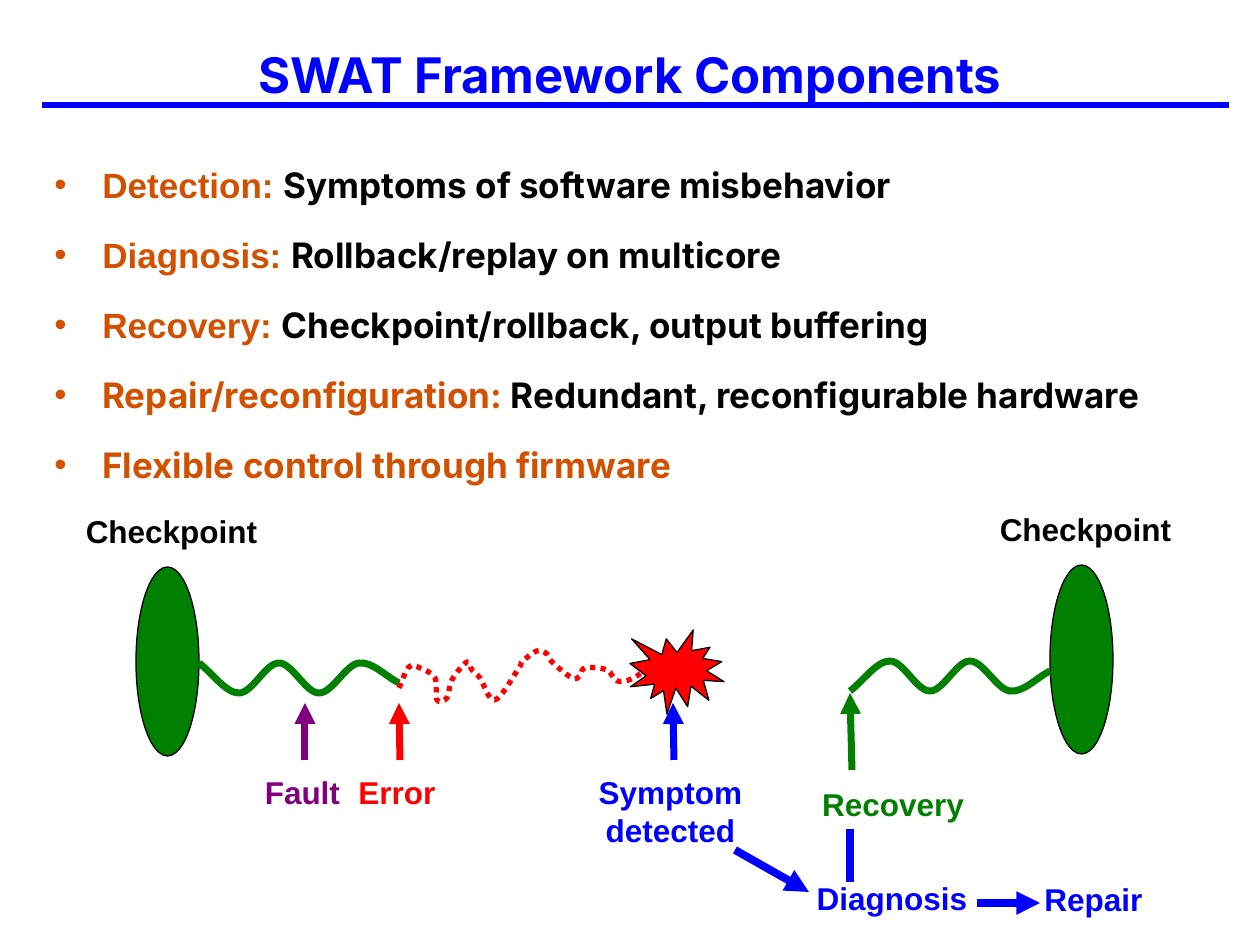
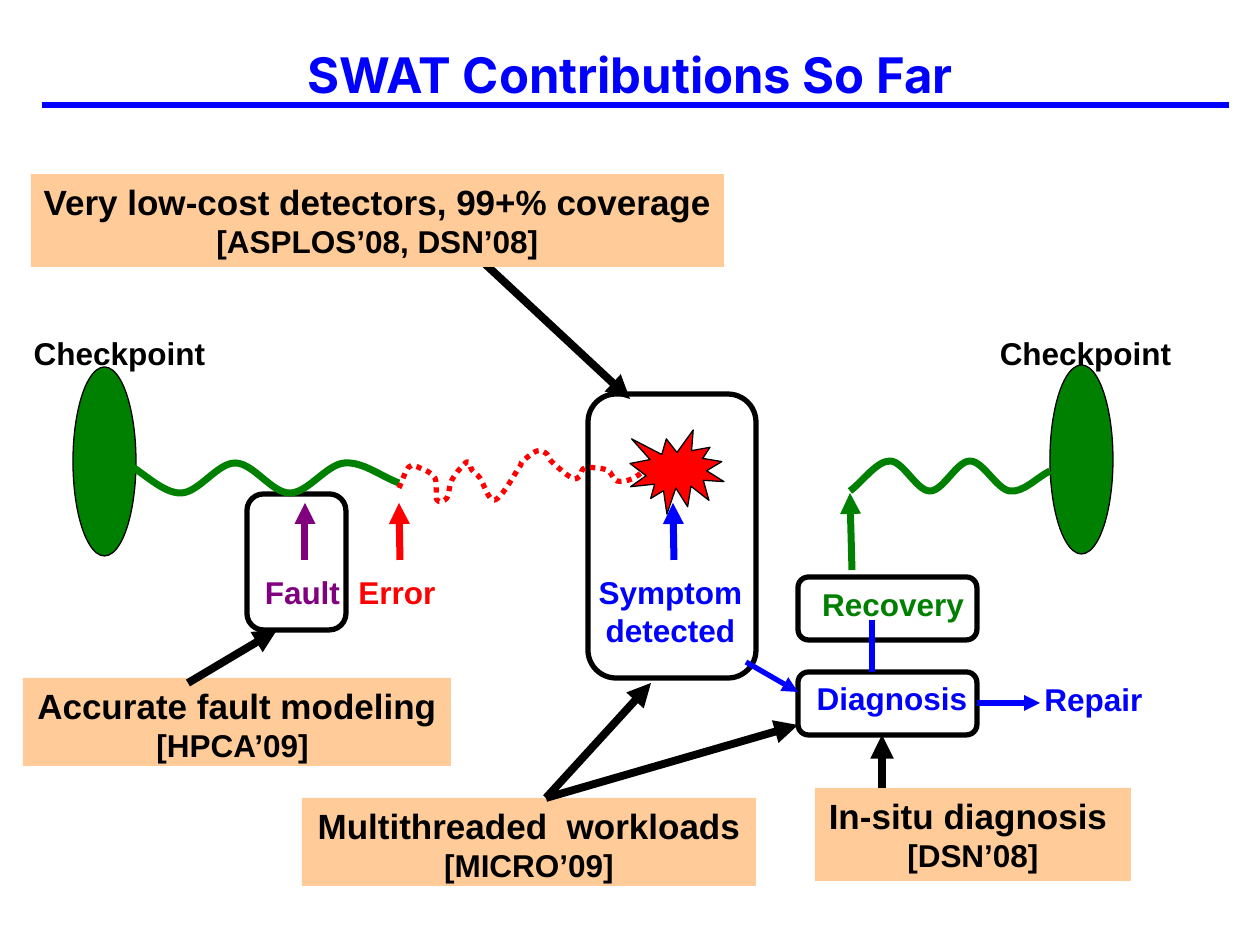
"""Build two slides on the SWAT framework: its components and its results."""
from dataclasses import dataclass

from lxml.etree import SubElement
from pptx import Presentation
from pptx.dml.color import RGBColor
from pptx.enum.dml import MSO_LINE
from pptx.enum.shapes import MSO_CONNECTOR, MSO_SHAPE
from pptx.enum.text import MSO_ANCHOR, PP_ALIGN
from pptx.oxml.ns import qn
from pptx.shapes.autoshape import Shape
from pptx.slide import Slide
from pptx.text.text import TextFrame, _Paragraph
from pptx.util import Emu, Pt

STRAIGHT = MSO_CONNECTOR.STRAIGHT
OVAL, RECT = MSO_SHAPE.OVAL, MSO_SHAPE.RECTANGLE
ROUND, BURST = MSO_SHAPE.ROUNDED_RECTANGLE, MSO_SHAPE.EXPLOSION1
DOTS = MSO_LINE.ROUND_DOT
CENTER, LEFT = PP_ALIGN.CENTER, PP_ALIGN.LEFT
MIDDLE, TOP = MSO_ANCHOR.MIDDLE, MSO_ANCHOR.TOP
SCALE = 914400 / 126

Point = tuple[float, float]


@dataclass(frozen=True)
class Theme:
    """Colours, fonts, type sizes and line widths of the deck."""
    blue: str = "0000FF"
    orange: str = "D15100"
    green: str = "008000"
    red: str = "FF0000"
    purple: str = "800080"
    black: str = "000000"
    peach: str = "FFCC99"
    head: str = "Inter"
    body: str = "Arial"
    title: int = 28
    large: int = 20
    small: int = 18
    hair: float = 0.75
    thin: float = 3
    mid: float = 4
    thick: float = 4.5


T = Theme()


@dataclass(frozen=True)
class Box:
    """A place on the slide in pixels."""
    x: float
    y: float
    w: float
    h: float


@dataclass(frozen=True)
class Label:
    """A short centred caption, one string per line."""
    box: Box
    lines: tuple[str, ...]
    color: str


@dataclass(frozen=True)
class Link:
    """A straight line, with an arrowhead at its end unless plain."""
    start: Point
    end: Point
    color: str
    width: float
    arrow: bool = True


@dataclass(frozen=True)
class Note:
    """A shaded claim with the venue that published it."""
    box: Box
    claim: str
    venue: str
    wrap: bool = True


POINTS = (
    (("Detection: ", T.body), ("Symptoms of software misbehavior", T.head)),
    (("Diagnosis: ", T.body), ("Rollback/replay on multicore", T.head)),
    (("Recovery: ", T.body), ("Checkpoint/rollback, output buffering", T.head)),
    (("Repair/reconfiguration:", T.head), (" Redundant, reconfigurable hardware", T.head)),
    (("Flexible control through firmware", T.head),),
)
LABELS = (
    Label(Box(804, 873, 176, 50), ("Diagnosis",), T.blue),
    Label(Box(252, 767, 101, 50), ("Fault",), T.purple),
    Label(Box(346, 767, 102, 50), ("Error",), T.red),
    Label(Box(586, 767, 169, 88), ("Symptom", "detected"), T.blue),
    Label(Box(809, 779, 168, 50), ("Recovery",), T.green),
    Label(Box(1032, 874, 123, 50), ("Repair",), T.blue),
)
MARKS = (
    Link((305, 760), (305, 703), T.purple, T.mid),
    Link((400, 760), (399, 703), T.red, T.mid),
    Link((674, 760), (673, 703), T.blue, T.mid),
    Link((852, 770), (850, 693), T.green, T.mid),
)
NOISE = (
    (399, 688), (409, 667), (420, 668), (435, 678), (437, 700), (447, 698),
    (452, 680), (467, 662), (472, 670), (480, 678), (495, 700), (519, 668),
    (522, 662), (537, 651), (547, 654), (552, 662), (572, 678), (580, 676),
    (585, 668), (607, 670), (617, 681), (634, 678), (651, 664),
)
FIRST_FLOW = (
    Link((735, 850), (809, 892), T.blue, T.thick),
    Link((977, 903), (1040, 903), T.blue, T.thick),
    Link((850, 882), (850, 829), T.blue, T.thick, False),
)
NEXT_FLOW = (
    Link((746, 662), (798, 692), T.blue, T.thin),
    Link((977, 703), (1040, 703), T.blue, T.thin),
    Link((872, 672), (872, 620), T.blue, T.thin, False),
)
FRAMES = (
    Box(798, 672, 179, 63),
    Box(588, 394, 168, 284),
    Box(247, 494, 99, 136),
    Box(798, 577, 179, 63),
)
NOTES = (
    Note(Box(815, 788, 316, 93), "In-situ diagnosis ", "[DSN’08]", False),
    Note(Box(31, 174, 693, 93), "Very low-cost detectors, 99+% coverage",
         "[ASPLOS’08, DSN’08]"),
    Note(Box(23, 678, 428, 88), "Accurate fault modeling", "[HPCA’09] "),
    Note(Box(302, 798, 454, 88), "Multithreaded  workloads ", "[MICRO’09]"),
)
PROBE = Link((483, 262), (630, 399), T.black, T.thick)
CLAIMS = (
    Link((882, 788), (882, 735), T.black, T.thick),
    Link((188, 683), (277, 630), T.black, T.thick),
    Link((546, 798), (651, 683), T.black, T.thick),
    Link((546, 798), (798, 725), T.black, T.thick),
)


def px(length: float) -> Emu:
    """Turn pixels into EMU."""
    return Emu(round(length * SCALE))


def place(box: Box) -> tuple[Emu, Emu, Emu, Emu]:
    """Give the four EMU lengths of a box."""
    return px(box.x), px(box.y), px(box.w), px(box.h)


def write(para: _Paragraph, text: str, *, size: int = T.small, color: str = T.black,
          font: str = T.body, align: PP_ALIGN = CENTER) -> None:
    """Add a bold run to a paragraph."""
    para.alignment = align
    run = para.add_run()
    run.text = text
    run.font.name, run.font.size, run.font.bold = font, Pt(size), True
    run.font.color.rgb = RGBColor.from_string(color)


def line_at(frame: TextFrame, index: int) -> _Paragraph:
    """Return the first paragraph, or add a later one."""
    return frame.add_paragraph() if index else frame.paragraphs[0]


def text_box(slide: Slide, box: Box, wrap: bool = False,
             anchor: MSO_ANCHOR = TOP) -> TextFrame:
    """Add an empty text box."""
    frame = slide.shapes.add_textbox(*place(box)).text_frame
    frame.word_wrap, frame.vertical_anchor = wrap, anchor
    return frame


def style(shape: Shape, fill: str | None = None, line: str | None = None,
          width: float = T.hair) -> None:
    """Set the fill and outline of a shape, without a shadow."""
    shape.shadow.inherit = False
    if fill:
        shape.fill.solid()
        shape.fill.fore_color.rgb = RGBColor.from_string(fill)
    else:
        shape.fill.background()
    if line:
        shape.line.color.rgb = RGBColor.from_string(line)
        shape.line.width = Pt(width)
    else:
        shape.line.fill.background()


def draw_link(slide: Slide, link: Link, rise: int = 0) -> None:
    """Draw a link, raised by some pixels."""
    (x1, y1), (x2, y2) = link.start, link.end
    wire = slide.shapes.add_connector(
        STRAIGHT, px(x1), px(y1 - rise), px(x2), px(y2 - rise))
    wire.line.color.rgb = RGBColor.from_string(link.color)
    wire.line.width = Pt(link.width)
    props = wire.element.spPr
    if link.arrow:
        SubElement(props.find(qn("a:ln")), qn("a:tailEnd"), type="triangle")
    SubElement(props, qn("a:effectLst"))


def draw_label(slide: Slide, label: Label, rise: int = 0) -> None:
    """Draw a caption, raised by some pixels."""
    box = label.box
    frame = text_box(slide, Box(box.x, box.y - rise, box.w, box.h))
    for index, text in enumerate(label.lines):
        write(line_at(frame, index), text, color=label.color)


def draw_note(slide: Slide, note: Note) -> None:
    """Draw a shaded claim."""
    shape = slide.shapes.add_shape(RECT, *place(note.box))
    style(shape, T.peach)
    frame = shape.text_frame
    frame.word_wrap, frame.vertical_anchor = note.wrap, TOP
    write(line_at(frame, 0), note.claim, size=T.large)
    write(line_at(frame, 1), note.venue)


def draw_frame(slide: Slide, box: Box) -> None:
    """Draw a round outline about a stage."""
    shape = slide.shapes.add_shape(ROUND, *place(box))
    shape.adjustments[0] = 0.167
    style(shape, None, T.black, T.thin)


def bend(shape: Shape) -> None:
    """Turn the straight segments of an outline into one smooth curve."""
    track = shape.element.find(".//" + qn("a:path"))
    knots = [(int(p.get("x")), int(p.get("y"))) for p in track.iter(qn("a:pt"))]
    for line in track.findall(qn("a:lnTo")):
        track.remove(line)
    first, last = (tuple(2 * e - n for e, n in zip(end, near))
                   for end, near in (knots[:2], knots[:-3:-1]))
    full = [first, *knots, last]
    for a, b, c, d in zip(full, full[1:], full[2:], full[3:]):
        lead = [q + (r - p) / 6 for p, q, r in zip(a, b, c)]
        trail = [q - (r - p) / 6 for p, q, r in zip(b, c, d)]
        curve = SubElement(track, qn("a:cubicBezTo"))
        for x, y in (lead, trail, c):
            SubElement(curve, qn("a:pt"), x=str(round(x)), y=str(round(y)))


def draw_curve(slide: Slide, knots: list[Point], color: str, width: float,
               rise: int) -> Shape:
    """Draw an open smooth curve."""
    stops = [(px(x), px(y - rise)) for x, y in knots]
    pen = slide.shapes.build_freeform(*stops[0])
    pen.add_line_segments(stops[1:], close=False)
    shape = pen.convert_to_shape()
    bend(shape)
    style(shape, None, color, width)
    return shape


def draw_wave(slide: Slide, start: float, end: float, levels: tuple[int, ...],
              rise: int) -> None:
    """Draw a green wave with evenly spaced turns."""
    gap = (end - start) / (len(levels) - 1)
    knots = [(start + i * gap, y) for i, y in enumerate(levels)]
    draw_curve(slide, knots, T.green, T.mid, rise)


def draw_run(slide: Slide, rise: int, left: int, start: int) -> None:
    """Draw the program run from one checkpoint to the next."""
    for x, y in ((left, 567), (1050, 565)):
        disc = slide.shapes.add_shape(OVAL, *place(Box(x, y - rise, 63, 189)))
        style(disc, T.green, T.black)
    draw_wave(slide, start, 399, (663, 693, 663, 693, 663, 683), rise)
    draw_wave(slide, 850, 1050, (691, 661, 691, 661, 691, 671), rise)
    draw_curve(slide, list(NOISE), T.red, T.thin, rise).line.dash_style = DOTS
    burst = slide.shapes.add_shape(BURST, *place(Box(630, 630 - rise, 94, 84)))
    style(burst, T.red, T.black)
    for mark in MARKS:
        draw_link(slide, mark, rise)
    for label in LABELS:
        draw_label(slide, label, rise)


def draw_ends(slide: Slide, *spots: Point) -> None:
    """Name the checkpoints."""
    for x, y in spots:
        draw_label(slide, Label(Box(x, y, 197, 50), ("Checkpoint",), T.black))


def draw_points(slide: Slide) -> None:
    """Write the bullet list, lead words in orange."""
    frame = text_box(slide, Box(42, 136, 1187, 336), wrap=True)
    for index, runs in enumerate(POINTS):
        para = line_at(frame, index)
        para.line_spacing, para.space_before = 1.5, Pt(4)
        for (text, font), color in zip(runs, (T.orange, T.black)):
            write(para, text, size=T.large, color=color, font=font, align=LEFT)
        props = para._p.get_or_add_pPr()
        props.set("marL", str(px(48)))
        props.set("indent", str(-px(48)))
        SubElement(SubElement(props, qn("a:buClr")), qn("a:srgbClr"), val=T.orange)
        SubElement(props, qn("a:buFont"), typeface=T.body)
        SubElement(props, qn("a:buChar"), char="•")


def new_slide(deck: Presentation, title: str) -> Slide:
    """Add a blank slide with the shared title and rule."""
    slide = deck.slides.add_slide(deck.slide_layouts[6])
    draw_link(slide, Link((42, 105), (1229, 105), T.blue, T.thin, False))
    frame = text_box(slide, Box(0, 21, 1260, 105), wrap=True, anchor=MIDDLE)
    write(frame.paragraphs[0], title, size=T.title, color=T.blue, font=T.head)
    return slide


def main() -> None:
    """Build and save the deck."""
    deck = Presentation()
    deck.slide_width, deck.slide_height = px(1260), px(945)
    parts = new_slide(deck, "SWAT Framework Components")
    draw_points(parts)
    draw_run(parts, 0, 136, 199)
    draw_ends(parts, (73, 506), (987, 504))
    for link in FIRST_FLOW:
        draw_link(parts, link)
    results = new_slide(deck, "SWAT Contributions So Far")
    for box in FRAMES:
        draw_frame(results, box)
    draw_link(results, PROBE)
    for note in NOTES:
        draw_note(results, note)
    draw_run(results, 200, 73, 126)
    draw_ends(results, (21, 328), (987, 328))
    for link in NEXT_FLOW + CLAIMS:
        draw_link(results, link)
    deck.save("out.pptx")


main()
